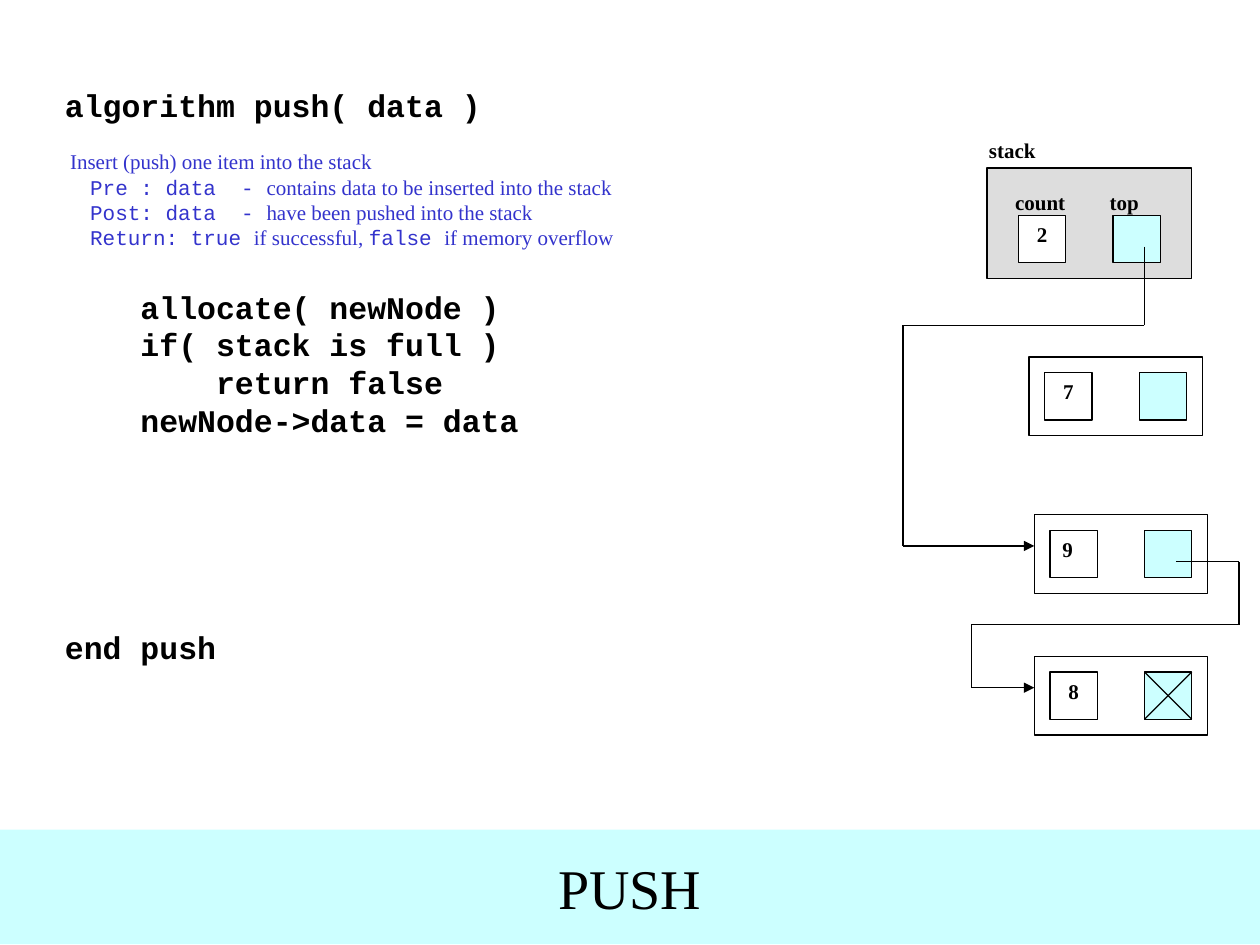
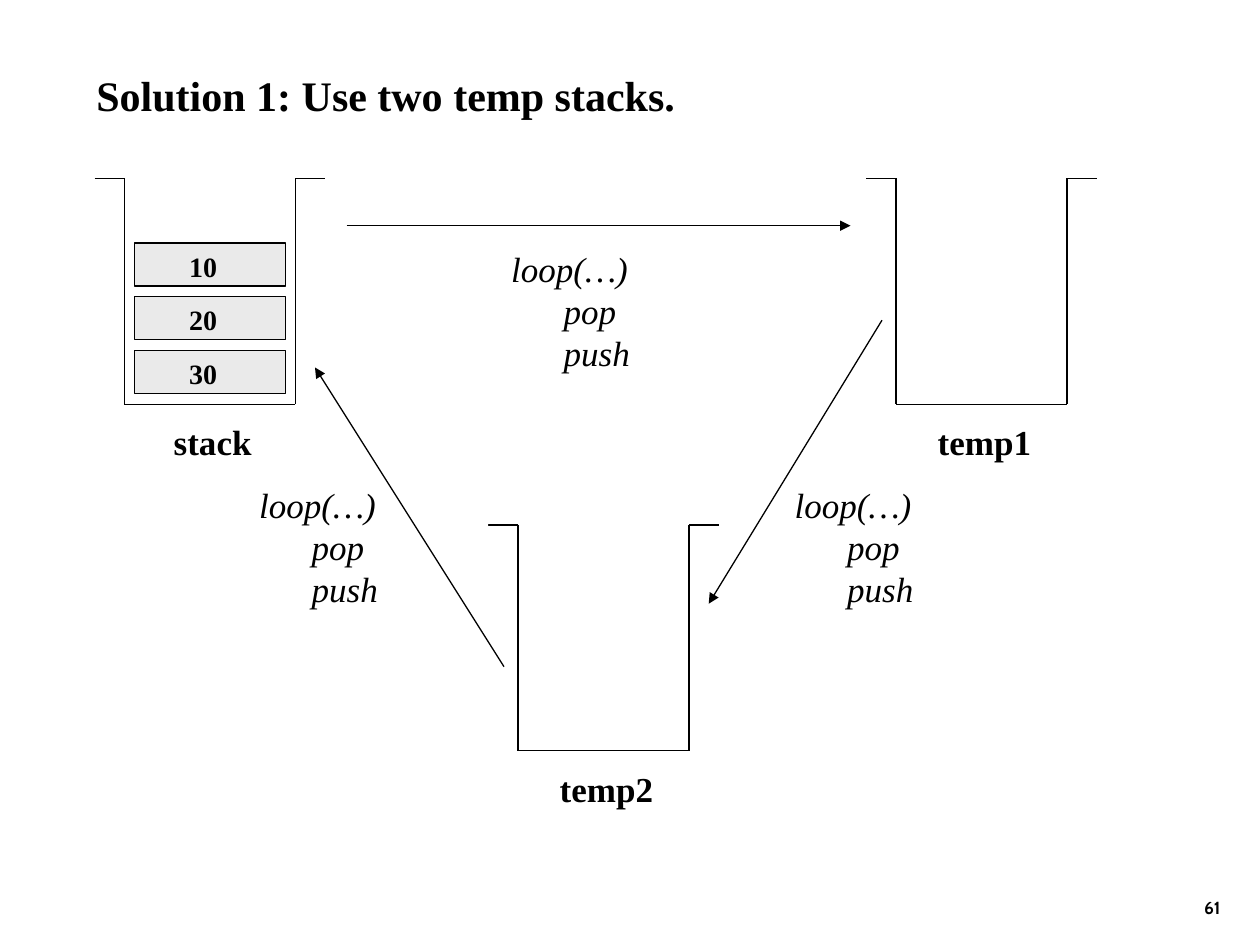
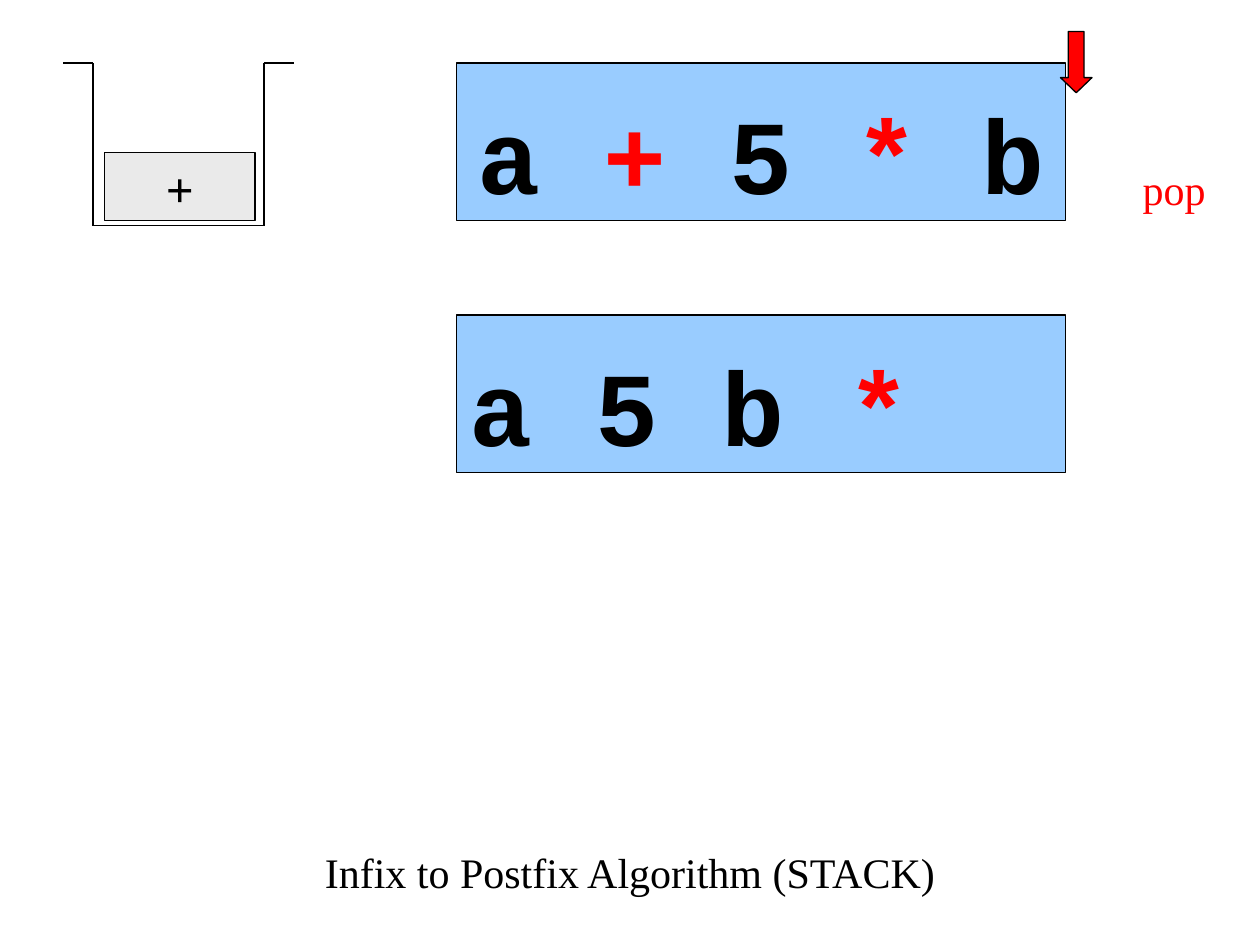
from dataclasses import dataclass, replace
from itertools import pairwise

from lxml import etree
from pptx import Presentation
from pptx.dml.color import RGBColor
from pptx.enum.shapes import MSO_CONNECTOR, MSO_SHAPE
from pptx.enum.text import MSO_ANCHOR, PP_ALIGN
from pptx.oxml.ns import qn
from pptx.util import Pt

STRAIGHT = MSO_CONNECTOR.STRAIGHT
RECTANGLE = MSO_SHAPE.RECTANGLE
DOWN_ARROW = MSO_SHAPE.DOWN_ARROW
TOP, MIDDLE, BOTTOM = MSO_ANCHOR.TOP, MSO_ANCHOR.MIDDLE, MSO_ANCHOR.BOTTOM
LEFT, CENTER, RIGHT = PP_ALIGN.LEFT, PP_ALIGN.CENTER, PP_ALIGN.RIGHT

BLACK, WHITE, RED, BLUE = "000000", "FFFFFF", "FF0000", "3333CC"
CYAN, SKY, GRAY, PALE_GRAY = "CCFFFF", "99CCFF", "DDDDDD", "EAEAEA"
SLIDE_WIDTH, SLIDE_HEIGHT = 720, 540
CELL = 27


@dataclass(frozen=True)
class TextStyle:
    size: float
    name: str = "Times New Roman"
    color: str = BLACK
    bold: bool = False
    italic: bool = False
    line_factor: float = 1.2


LABEL = TextStyle(12, bold=True)
CODE = TextStyle(18, "Courier New", bold=True)
COMMENT = TextStyle(12, color=BLUE)
COMMENT_CODE = replace(COMMENT, name="Courier New")
STACK_NAME = TextStyle(20, bold=True)
LOOP = TextStyle(20, italic=True)
EXPRESSION = TextStyle(60, "Courier New", bold=True, line_factor=1.4)
OPERATOR = replace(EXPRESSION, color=RED)


def rgb(value):
    return RGBColor.from_string(value)


class Deck:
    def __init__(self):
        self.presentation = Presentation()
        self.presentation.slide_width = Pt(SLIDE_WIDTH)
        self.presentation.slide_height = Pt(SLIDE_HEIGHT)
        self.slide = None

    def new_slide(self):
        self.slide = self.presentation.slides.add_slide(self.presentation.slide_layouts[6])

    def box(self, left, top, width, height, fill=WHITE, outlined=True, kind=RECTANGLE):
        shape = self.slide.shapes.add_shape(kind, Pt(left), Pt(top), Pt(width), Pt(height))
        shape.shadow.inherit = False
        shape.fill.solid()
        shape.fill.fore_color.rgb = rgb(fill)
        if outlined:
            shape.line.color.rgb = rgb(BLACK)
            shape.line.width = Pt(0.75)
        else:
            shape.line.fill.background()
        shape.text_frame.vertical_anchor = TOP
        return shape

    def text_box(self, left, top, width, height, anchor=TOP):
        shape = self.slide.shapes.add_textbox(Pt(left), Pt(top), Pt(width), Pt(height))
        shape.text_frame.word_wrap = True
        shape.text_frame.vertical_anchor = anchor
        return shape

    def set_font(self, font, style):
        font.size = Pt(style.size)
        font.name = style.name
        font.bold = style.bold
        font.italic = style.italic
        font.color.rgb = rgb(style.color)

    def add_text(self, shape, content, style, align=LEFT, indent=0, before=0):
        frame = shape.text_frame
        paragraph = frame.add_paragraph() if frame.text else frame.paragraphs[0]
        paragraph.alignment = align
        paragraph.line_spacing = Pt(style.size * style.line_factor)
        if before:
            paragraph.space_before = Pt(before)
        if indent:
            paragraph._p.get_or_add_pPr().set("marL", str(Pt(indent)))
        if isinstance(content, str):
            paragraph.add_run().text = content
            self.set_font(paragraph.font, style)
        else:
            for text, run_style in content:
                run = paragraph.add_run()
                run.text = text
                self.set_font(run.font, run_style)

    def label(self, left, top, width, height, text, style=LABEL, fill=WHITE, align=LEFT):
        shape = self.box(left, top, width, height, fill, outlined=False)
        self.add_text(shape, text, style, align)

    def line(self, start, end, arrow=False):
        x1, y1, x2, y2 = (Pt(value) for value in (*start, *end))
        connector = self.slide.shapes.add_connector(STRAIGHT, x1, y1, x2, y2)
        connector.line.color.rgb = rgb(BLACK)
        connector.line.width = Pt(0.75)
        if arrow:
            outline = connector._element.spPr.find(qn("a:ln"))
            etree.SubElement(outline, qn("a:tailEnd"), type="triangle")
        etree.SubElement(connector._element.spPr, qn("a:effectLst"))

    def route(self, *points, arrow=False):
        segments = list(pairwise(points))
        for index, (start, end) in enumerate(segments):
            self.line(start, end, arrow and index == len(segments) - 1)

    def cells(self, left, top, value, align=CENTER):
        self.box(left + 54, top, CELL, CELL, CYAN)
        self.add_text(self.box(left, top, CELL, CELL), value, LABEL, align)

    def node(self, left, top, value, align=CENTER):
        self.box(left, top, 99, 45)
        self.cells(left + 9, top + 9, value, align)

    def vessel(self, left, top, depth, name=None):
        inner_left, inner_right, right = left + 17.1, left + 114.8, left + 132
        bottom = top + depth
        self.route((left, top), (inner_left, top), (inner_left, bottom),
                   (inner_right, bottom), (inner_right, top), (right, top))
        if name:
            self.label(left + 18, bottom + 6, 99, 36, name, STACK_NAME, align=CENTER)

    def loop_note(self, left, top):
        shape = self.box(left, top, 153, 81, outlined=False)
        for text, indent in (("loop(…)", 15), ("pop", 45), ("push", 45)):
            self.add_text(shape, text, LOOP, indent=indent)

    def title_band(self, top, height, text, size, fill):
        shape = self.box(0, top, SLIDE_WIDTH, height, fill, outlined=False)
        shape.text_frame.vertical_anchor = MIDDLE
        self.add_text(shape, text, TextStyle(size), CENTER)

    def expression(self, top, runs, align):
        shape = self.box(261, top, 348, 90, SKY)
        shape.text_frame.vertical_anchor = MIDDLE
        self.add_text(shape, runs, EXPRESSION, align)


def build_push(deck):
    deck.new_slide()
    algorithm = deck.text_box(30, 45.6, 456, 338)
    deck.add_text(algorithm, "algorithm push( data )", CODE)
    deck.add_text(algorithm, "Insert (push) one item into the stack", COMMENT,
                  indent=3, before=14.4)
    conditions = (
        [("Pre : data  - ", COMMENT_CODE),
         ("contains data to be inserted into the stack", COMMENT)],
        [("Post: data  - ", COMMENT_CODE), ("have been pushed into the stack", COMMENT)],
        [("Return: true ", COMMENT_CODE), ("if successful, ", COMMENT),
         ("false ", COMMENT_CODE), ("if memory overflow", COMMENT)],
    )
    for runs in conditions:
        deck.add_text(algorithm, runs, COMMENT, indent=14.4)
    code_lines = (
        ("    allocate( newNode )", 21.6),
        ("    if( stack is full )", 0),
        ("        return false", 0),
        ("    newNode->data = data", 0),
        ("end push", 108),
    )
    for text, before in code_lines:
        deck.add_text(algorithm, text, CODE, before=before)

    deck.label(558, 75, 54, 27, "stack")
    deck.box(564, 96, 117, 63, GRAY)
    deck.label(627, 105, 36, 27, "top", fill=GRAY)
    deck.label(573, 105, 45, 27, "count", fill=GRAY)
    deck.cells(582, 123, "2")
    deck.node(588, 204, "7")
    deck.node(591, 294, "9", LEFT)
    deck.node(591, 375, "8")
    deck.line((681, 384), (654, 411))
    deck.line((654, 384), (681, 411))
    deck.route((672, 321), (708, 321), (708, 357), (555, 357), (555, 393), (591, 393), arrow=True)
    deck.route((654, 141), (654, 186), (516, 186), (516, 312), (591, 312), arrow=True)
    deck.title_band(474, 65.5, "PUSH", 32, CYAN)


def build_temp_stacks(deck):
    deck.new_slide()
    number = deck.text_box(554.4, 492, 150, 36, BOTTOM)
    deck.add_text(number, "61", TextStyle(10, "Cabin", bold=True), RIGHT)
    title = deck.text_box(48, 36, 354, 36)
    deck.add_text(title, "Solution 1: Use two temp stacks.", TextStyle(24, bold=True))

    for left, top, name in ((54, 102, "stack"), (495, 102, "temp1"), (279, 300, "temp2")):
        deck.vessel(left, top, 129, name)
    for index, value in enumerate(("10", "20", "30")):
        item = deck.box(77, 138.8 + index * 30.7, 86.4, 24.6, PALE_GRAY)
        deck.add_text(item, value, TextStyle(16, bold=True), indent=24)

    moves = (
        ((270, 138), (198, 129), (486, 129)),
        ((432, 273), (504, 183), (405, 345)),
        ((126, 273), (288, 381), (180, 210)),
    )
    for note, start, end in moves:
        deck.loop_note(*note)
        deck.line(start, end, arrow=True)


def build_infix(deck):
    deck.new_slide()
    deck.expression(36, [("a ", EXPRESSION), ("+", OPERATOR), (" 5 ", EXPRESSION),
                         ("*", OPERATOR), (" b", EXPRESSION)], CENTER)
    deck.expression(180, [("a 5 b ", EXPRESSION), ("*", OPERATOR)], LEFT)
    deck.add_text(deck.text_box(645.8, 90, 54, 36), "pop", TextStyle(24, color=RED))
    deck.vessel(36, 36, 93)
    item = deck.box(59.8, 87, 86, 39, PALE_GRAY)
    deck.add_text(item, "+", TextStyle(28, bold=True), CENTER)
    marker = deck.box(606, 18, 18, 35, RED, kind=DOWN_ARROW)
    marker.adjustments[0] = 0.5
    marker.adjustments[1] = 0.48
    deck.title_band(456, 84, "Infix to Postfix Algorithm (STACK)", 24, WHITE)


def main():
    deck = Deck()
    build_push(deck)
    build_temp_stacks(deck)
    build_infix(deck)
    deck.presentation.save("out.pptx")


if __name__ == "__main__":
    main()
